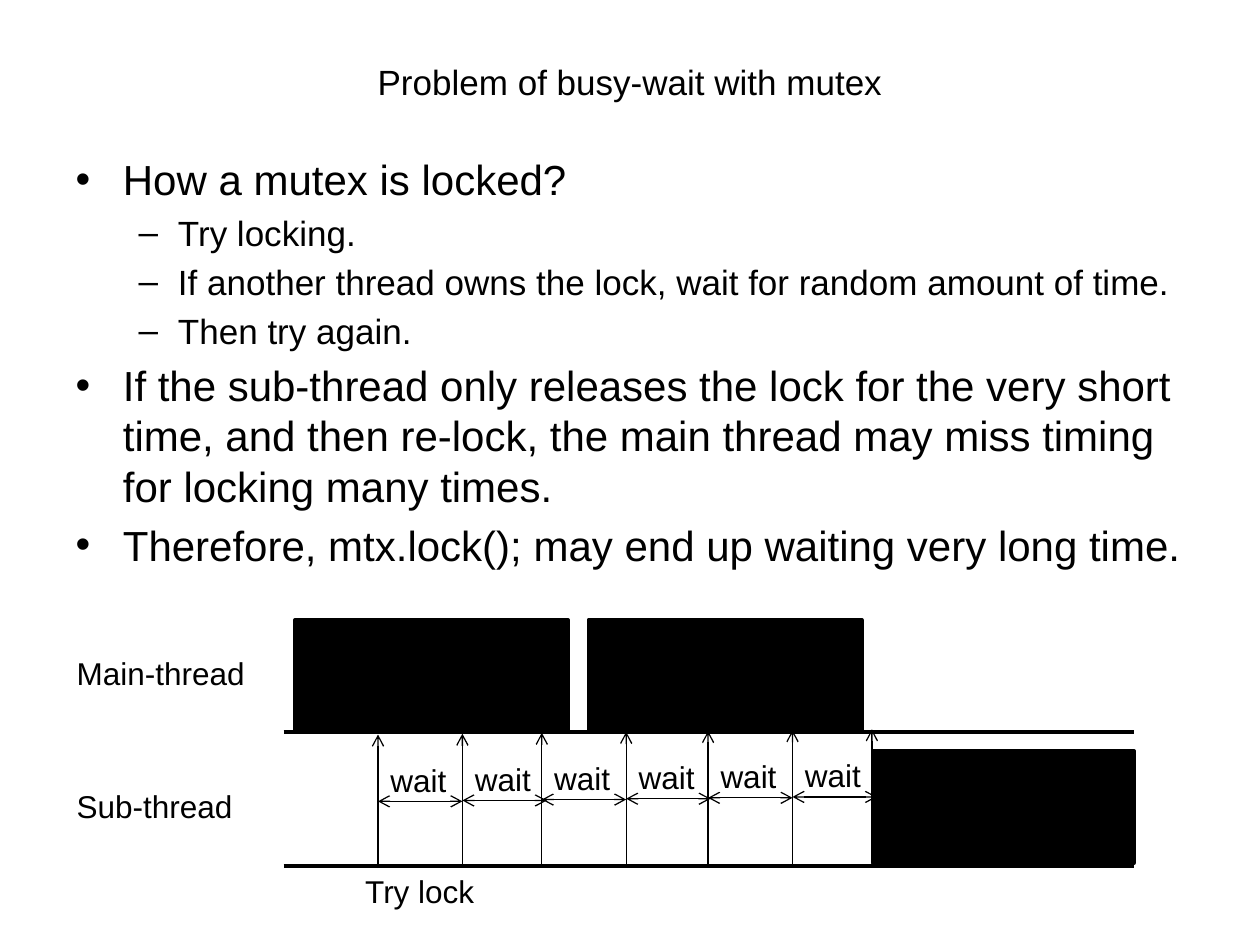
"""Builds a slide on busy-wait with a mutex, with a timeline of two threads."""
from lxml import etree
from pptx import Presentation
from pptx.dml.color import RGBColor
from pptx.enum.shapes import MSO_CONNECTOR, MSO_SHAPE
from pptx.enum.text import MSO_ANCHOR, MSO_AUTO_SIZE, PP_ALIGN
from pptx.oxml.ns import qn
from pptx.util import Inches, Pt

LINE, RECT = MSO_CONNECTOR.STRAIGHT, MSO_SHAPE.RECTANGLE
MID, MIDDLE, NONE = PP_ALIGN.CENTER, MSO_ANCHOR.MIDDLE, MSO_AUTO_SIZE.NONE

TITLE = "Problem of busy-wait with mutex"
BODY = [
    (0, "How a mutex is locked?"),
    (1, "Try locking."),
    (1, "If another thread owns the lock, wait for random amount of time."),
    (1, "Then try again."),
    (0, "If the sub-thread only releases the lock for the very short time, "
        "and then re-lock, the main thread may miss timing for locking many times."),
    (0, "Therefore, mtx.lock(); may end up waiting very long time."),
]
LABELS = [("Sub-thread", 0.51, 6.2, 1.45), ("Main-thread", 0.51, 5.14, 1.55),
          ("Try lock", 2.8, 6.87, 1.08)]
AXES = [5.81, 6.87]
LEFT, RIGHT = 2.25, 9
BLOCKS = [(2.34, 4.92, 2.17, 0.89), (4.67, 4.92, 2.17, 0.89),
          (6.93, 5.96, 2.07, 0.89)]
TRIES = [3, 3.67, 4.3, 4.97, 5.62, 6.29, 6.92]
RISE, SPAN, DRIFT = 1.06, 0.67, 0.007
SIZES = [24, 20]
FONT = "Arial"
COLORS = {"ink": "000000"}
INK = RGBColor.from_string(COLORS["ink"])


def write(para, text, size=18, align=None, level=0):
    run = para.add_run()
    run.text = text
    run.font.name, run.font.size = FONT, Pt(size)
    run.font.color.rgb = INK
    para.level = level
    if align is not None:
        para.alignment = align


def place(shape, *box):
    shape.left, shape.top, shape.width, shape.height = map(Inches, box)


def label(slide, text, x, y, w):
    box = slide.shapes.add_textbox(*map(Inches, (x, y, w, 0.4)))
    box.text_frame.word_wrap = False
    write(box.text_frame.paragraphs[0], text)


def line(slide, *ends, width=0.75, tips=()):
    wire = slide.shapes.add_connector(LINE, *map(Inches, ends))
    wire.line.color.rgb, wire.line.width = INK, Pt(width)
    for tip in tips:
        etree.SubElement(wire.line._get_or_add_ln(), qn("a:" + tip), type="arrow")
    etree.SubElement(wire._element.spPr, qn("a:effectLst"))


def block(slide, *box):
    rect = slide.shapes.add_shape(RECT, *map(Inches, box))
    rect.shadow.inherit = False
    rect.fill.solid()
    rect.fill.fore_color.rgb = rect.line.color.rgb = INK
    rect.line.width = Pt(2)


def main():
    deck = Presentation()
    deck.slide_width, deck.slide_height = Inches(10), Inches(7.5)
    slide = deck.slides.add_slide(deck.slide_layouts[1])
    title, body = slide.placeholders
    place(title, 0.5, 0.3, 9, 0.7)
    title.text_frame.vertical_anchor = MIDDLE
    write(title.text_frame.paragraphs[0], TITLE, size=20, align=MID)
    place(body, 0.5, 1.17, 9, 5.53)
    frame = body.text_frame
    frame.auto_size = NONE
    for i, (level, text) in enumerate(BODY):
        para = frame.add_paragraph() if i else frame.paragraphs[0]
        write(para, text, size=SIZES[level], level=level)

    for item in LABELS:
        label(slide, *item)
    for y in AXES:
        line(slide, LEFT, y, RIGHT, y, width=2.25)
    for box in BLOCKS:
        block(slide, *box)
    for i, x in enumerate(TRIES):
        foot = 6.89 - i * DRIFT
        line(slide, x, foot, x, foot - RISE, tips=["tailEnd"])
        if x != TRIES[-1]:
            mid = foot - RISE / 2
            line(slide, x, mid, x + SPAN, mid, tips=["headEnd", "tailEnd"])
            label(slide, "wait", x, mid - 0.37, 0.65)
    deck.save("out.pptx")


if __name__ == "__main__":
    main()
